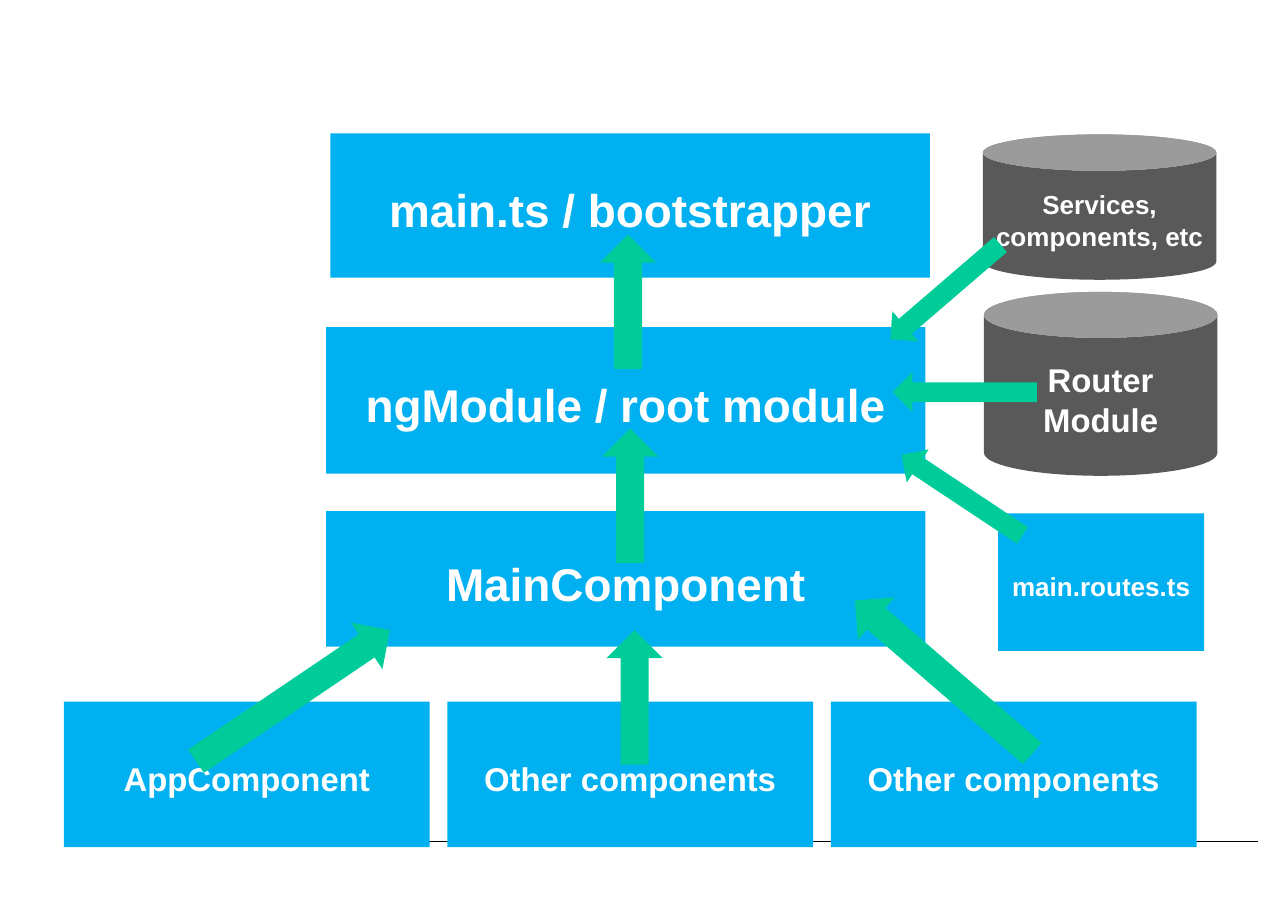
from dataclasses import dataclass
from math import atan2, degrees, hypot

from lxml.etree import SubElement
from pptx import Presentation
from pptx.dml.color import RGBColor
from pptx.enum.shapes import MSO_CONNECTOR, MSO_SHAPE
from pptx.enum.text import MSO_ANCHOR, PP_ALIGN
from pptx.oxml.ns import qn
from pptx.util import Inches, Pt


@dataclass(frozen=True)
class Theme:
    font: str = "Arial"
    box: str = "00B0F0"
    store: str = "595959"
    lid: str = "9B9B9B"
    arrow: str = "00CC99"
    text: str = "FFFFFF"
    rule: str = "000000"
    large: float = 30
    medium: float = 21.5
    small: float = 17


THEME = Theme()
COLUMNS, ROWS = 116.9, 82.7
CELL = 0.1

LAYERS = [
    ("main.ts / bootstrapper", 30, 12.1, 13.1),
    ("ngModule / root module", 29.6, 29.7, 13.3),
    ("MainComponent", 29.6, 46.4, 12.3),
]
LAYER_WIDTH = 54.4

CHILDREN = ["AppComponent", "Other components", "Other components"]
CHILD_LEFT, CHILD_TOP, CHILD_WIDTH, CHILD_HEIGHT = 5.8, 63.7, 33.2, 13.2
CHILD_STEP = 34.8

ROUTES = ("main.routes.ts", 90.6, 46.6, 18.7, 12.5)

STORES = [
    ("Services, components, etc", 89.2, 12.2, 13.2, THEME.small, 0.5),
    ("Router Module", 89.3, 26.5, 16.7, THEME.medium, 4),
]
STORE_WIDTH = 21.2
LID_SHARE = 0.25

WIDE, NARROW = 5.1, 3.6
ARROWS = [
    ((17.8, 69.1), (35.4, 57.2), WIDE),
    ((93.7, 68.4), (77.6, 54.5), WIDE),
    ((57.6, 69.4), (57.6, 57.2), WIDE),
    ((57.2, 51.1), (57.2, 38.9), WIDE),
    ((57, 33.5), (57, 21.3), WIDE),
    ((90.8, 22.2), (80.8, 30.8), NARROW),
    ((94.1, 35.6), (81, 35.6), NARROW),
    ((92.8, 48.6), (81.8, 41.3), NARROW),
]

RULE_START, RULE_END, RULE_ROW = 38.9, 114.2, 76.4


def cells(n):
    return Inches(n * CELL)


def add_filled(kind, left, top, width, height, color):
    sp = s.shapes.add_shape(kind, *map(cells, (left, top, width, height)))
    sp.shadow.inherit = False
    sp.fill.solid()
    sp.fill.fore_color.rgb = RGBColor.from_string(color)
    sp.line.fill.background()
    return sp


def write(sp, text, size, side=0.5):
    tf = sp.text_frame
    tf.word_wrap = True
    tf.vertical_anchor = MSO_ANCHOR.MIDDLE
    tf.margin_left = tf.margin_right = cells(side)
    tf.margin_top, tf.margin_bottom = cells(0.7), 0
    p = tf.paragraphs[0]
    p.text = text
    p.alignment = PP_ALIGN.CENTER
    p.font.name = THEME.font
    p.font.size = Pt(size)
    p.font.bold = True
    p.font.color.rgb = RGBColor.from_string(THEME.text)


def add_box(text, left, top, width, height, size):
    write(add_filled(MSO_SHAPE.RECTANGLE, left, top, width, height, THEME.box), text, size)


def add_store(text, left, top, height, size, side):
    can = add_filled(MSO_SHAPE.CAN, left, top, STORE_WIDTH, height, THEME.store)
    write(can, text, size, side)
    add_filled(MSO_SHAPE.OVAL, left, top, STORE_WIDTH, height * LID_SHARE, THEME.lid)


def add_arrow(tail, tip, thickness):
    dx, dy = tip[0] - tail[0], tip[1] - tail[1]
    length = hypot(dx, dy)
    left = (tail[0] + tip[0] - length) / 2
    top = (tail[1] + tip[1] - thickness) / 2
    sp = add_filled(MSO_SHAPE.RIGHT_ARROW, left, top, length, thickness, THEME.arrow)
    sp.rotation = degrees(atan2(dy, dx))


def add_rule():
    ends = map(cells, (RULE_START, RULE_ROW, RULE_END, RULE_ROW))
    rule = s.shapes.add_connector(MSO_CONNECTOR.STRAIGHT, *ends)
    rule.line.color.rgb = RGBColor.from_string(THEME.rule)
    rule.line.width = Pt(0.94)
    SubElement(rule._element.spPr, qn("a:effectLst"))


prs = Presentation()
prs.slide_width, prs.slide_height = cells(COLUMNS), cells(ROWS)
s = prs.slides.add_slide(prs.slide_layouts[6])

add_rule()
for text, left, top, height in LAYERS:
    add_box(text, left, top, LAYER_WIDTH, height, THEME.large)
for i, text in enumerate(CHILDREN):
    add_box(text, CHILD_LEFT + i * CHILD_STEP, CHILD_TOP, CHILD_WIDTH, CHILD_HEIGHT, THEME.medium)
add_box(*ROUTES, THEME.small)
for store in STORES:
    add_store(*store)
for arrow in ARROWS:
    add_arrow(*arrow)

prs.save("out.pptx")
